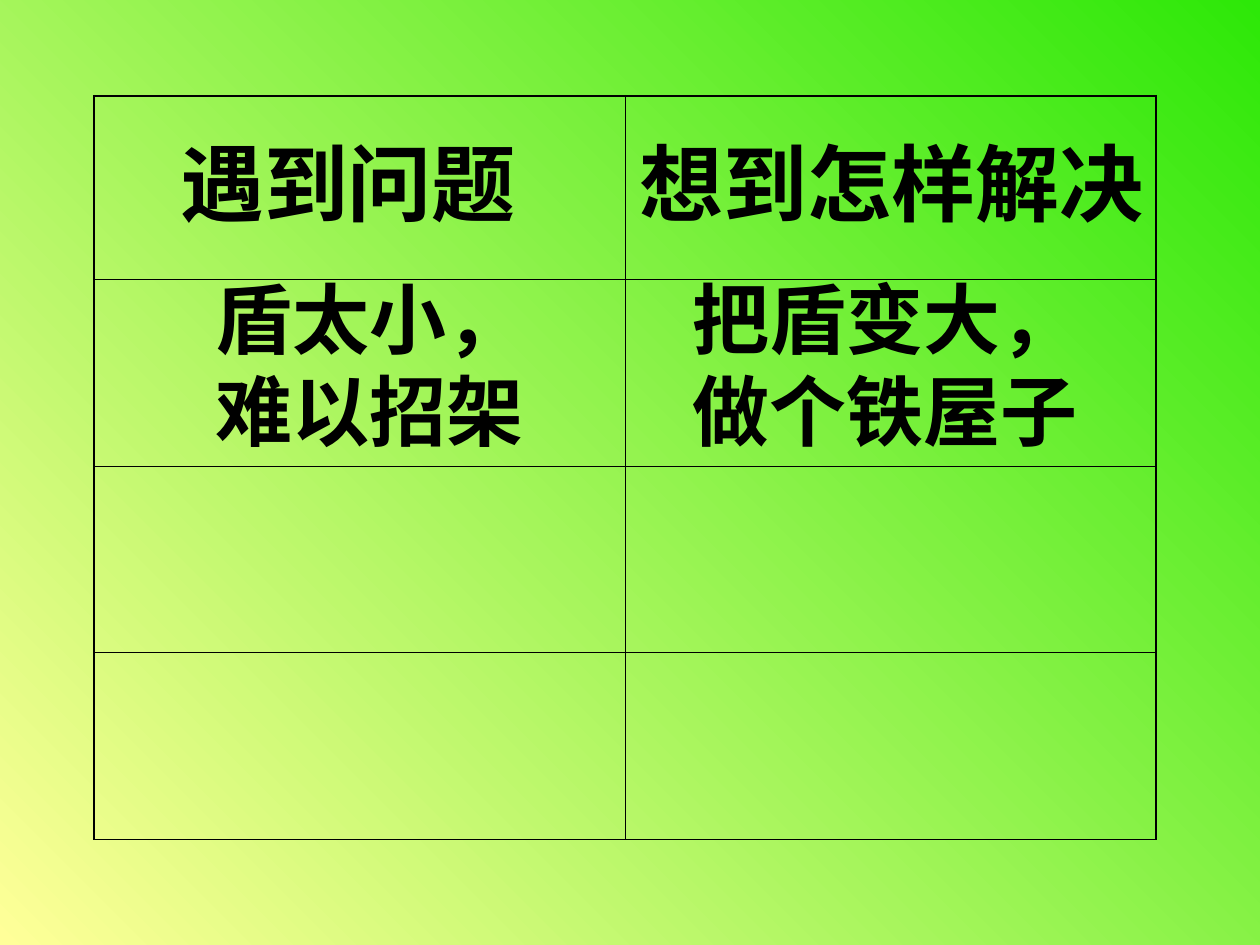
from lxml.etree import SubElement
from pptx import Presentation
from pptx.dml.color import RGBColor
from pptx.enum.text import MSO_AUTO_SIZE
from pptx.oxml.ns import qn
from pptx.util import Cm, Pt

COLORS = {"green": "2DE808", "yellow": "FFFF99", "ink": "000000"}
FONT = "Times New Roman"
ROWS, COLS = 4, 2
OUTER, INNER = Pt(1.08), Pt(0.45)


def add_border(cell, side, width):
    ln = SubElement(cell._tc.get_or_add_tcPr(), qn(f"a:ln{side}"), w=str(width))
    fill = SubElement(ln, qn("a:solidFill"))
    SubElement(fill, qn("a:srgbClr"), val=COLORS["ink"])


prs = Presentation()
prs.slide_width, prs.slide_height = Cm(25.4), Cm(19.05)
s = prs.slides.add_slide(prs.slide_layouts[6])

# Background gradient from the top right to the bottom left
fill = s.background.fill
fill.gradient()
fill.gradient_angle = 225
for stop, name in zip(fill.gradient_stops, ("green", "yellow")):
    stop.color.rgb = RGBColor.from_string(COLORS[name])

# Empty grid with a heavier outer frame
frame = s.shapes.add_table(ROWS, COLS, Cm(1.9), Cm(1.93), Cm(21.4), Cm(15))
table = frame.table
table.first_row = table.horz_banding = False
for col in table.columns:
    col.width = Cm(10.7)
for i, row in enumerate(table.rows):
    row.height = Cm(3.71 if i == 0 else 3.76)
    for j, cell in enumerate(row.cells):
        edges = {"L": j == 0, "R": j == COLS - 1, "T": i == 0, "B": i == ROWS - 1}
        for side, is_outer in edges.items():
            add_border(cell, side, OUTER if is_outer else INNER)
        cell.fill.background()

# Headings and answers: left, top, width, height, size, lines
texts = [
    (3.38, 2.53, 7.32, 2.3, 48, ["遇到问题"]),
    (12.65, 2.53, 10.7, 2.3, 48, ["想到怎样解决"]),
    (4.09, 5.35, 6.76, 3.99, 44, ["盾太小，", "难以招架"]),
    (13.72, 5.35, 8.32, 3.99, 44, ["把盾变大，", "做个铁屋子"]),
]
for left, top, width, height, size, lines in texts:
    sp = s.shapes.add_textbox(Cm(left), Cm(top), Cm(width), Cm(height))
    tf = sp.text_frame
    tf.word_wrap = False
    tf.auto_size = MSO_AUTO_SIZE.SHAPE_TO_FIT_TEXT
    tf.text = "\n".join(lines)
    for p in tf.paragraphs:
        p.font.name = FONT
        p.font.size = Pt(size)
        p.font.bold = True
        p.font.color.rgb = RGBColor.from_string(COLORS["ink"])

prs.save("out.pptx")
